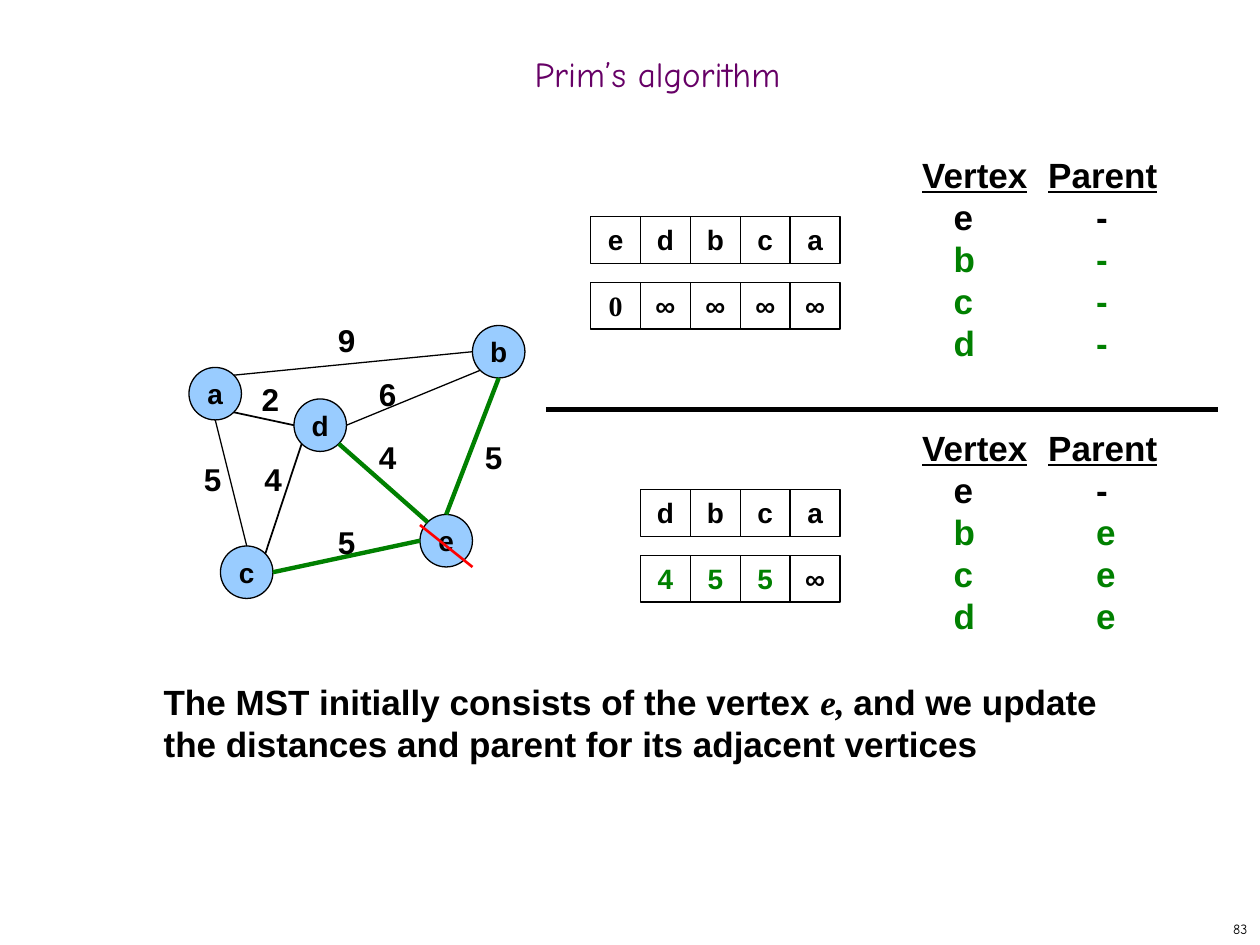
from math import cos, pi, sin

from lxml import etree
from pptx import Presentation
from pptx.dml.color import RGBColor
from pptx.enum.shapes import MSO_CONNECTOR, MSO_SHAPE
from pptx.enum.text import MSO_ANCHOR, MSO_AUTO_SIZE, PP_ALIGN
from pptx.oxml.ns import qn
from pptx.util import Inches, Pt

LINE = MSO_CONNECTOR.STRAIGHT
OVAL, RECT = MSO_SHAPE.OVAL, MSO_SHAPE.RECTANGLE
TOP, MID = MSO_ANCHOR.TOP, MSO_ANCHOR.MIDDLE
LEFT, MIDST, RIGHT = PP_ALIGN.LEFT, PP_ALIGN.CENTER, PP_ALIGN.RIGHT
GROW, FIXED = MSO_AUTO_SIZE.SHAPE_TO_FIT_TEXT, MSO_AUTO_SIZE.NONE

BLACK, GREEN, RED, BLUE, PLUM = "000000", "008000", "FF0000", "99CCFF", "660066"
SANS, SERIF, COMIC = "Arial", "Times New Roman", "Comic Neue"
SIDES = ["E", "SE", "S", "SW", "W", "NW", "N", "NE"]

DISC = 5
CELL_W, CELL_H = 4.75, 4.44
CELL_X = 61
STEP = 26

NODES = {"a": (18, 35), "c": (21, 52), "e": (40, 49), "d": (28, 38), "b": (45, 31)}
EDGES = [
    ("a", "NE", "b", "W", BLACK, 0.75),
    ("d", "E", "b", "SW", BLACK, 0.75),
    ("a", "S", "c", "N", BLACK, 0.75),
    ("a", "SE", "d", "W", BLACK, 1),
    ("c", "NE", "d", "SW", BLACK, 1),
    ("d", "SE", "e", "NW", GREEN, 2.5),
    ("b", "S", "e", "N", GREEN, 2.5),
    ("e", "W", "c", "E", GREEN, 2.5),
]
COSTS = [
    ("2", 23.75, 35.65), ("4", 24, 43.2), ("5", 18.25, 43.2), ("9", 31, 30),
    ("6", 34.9, 35.15), ("4", 34.9, 41.15), ("5", 31, 49.2), ("5", 45, 41.15),
]


def unit(n):
    return Inches(n / 12)


def tint(code):
    return RGBColor.from_string(code)


def write(shape, lines, size=16, color=BLACK, font=SANS, bold=True, under=False,
          align=LEFT, anchor=TOP, wrap=False, fit=FIXED, space=None, tabs=()):
    frame = shape.text_frame
    frame.word_wrap, frame.auto_size = wrap, fit
    frame.vertical_anchor = anchor
    for i, line in enumerate(lines):
        para = frame.add_paragraph() if i else frame.paragraphs[0]
        para.alignment = align
        if space:
            para.line_spacing = space
        if tabs:
            stops = etree.SubElement(para._p.get_or_add_pPr(), qn("a:tabLst"))
            for stop in tabs:
                etree.SubElement(stops, qn("a:tab"), pos=str(Inches(stop)), algn="l")
        for part in [(line, {})] if isinstance(line, str) else line:
            text, own = part
            run = para.add_run()
            run.text = text
            run.font.size = Pt(size)
            run.font.name = own.get("font", font)
            run.font.bold = bold
            run.font.italic = own.get("slant", False)
            run.font.underline = own.get("under", under)
            run.font.color.rgb = tint(own.get("color", color))


def label(slide, x, y, w, h, lines, **form):
    box = slide.shapes.add_textbox(unit(x), unit(y), unit(w), unit(h))
    write(box, lines, **form)


def block(slide, kind, x, y, w, h, text, fill=None, width=0.75, **form):
    shape = slide.shapes.add_shape(kind, unit(x), unit(y), unit(w), unit(h))
    shape.shadow.inherit = False
    if fill:
        shape.fill.solid()
        shape.fill.fore_color.rgb = tint(fill)
    else:
        shape.fill.background()
    shape.line.color.rgb = tint(BLACK)
    shape.line.width = Pt(width)
    write(shape, [text], align=MIDST, **form)


def rule(slide, start, end, color, width):
    line = slide.shapes.add_connector(LINE, *map(unit, start + end))
    line.line.color.rgb = tint(color)
    line.line.width = Pt(width)
    etree.SubElement(line._element.spPr, qn("a:effectLst"))


def port(name, side):
    x, y = NODES[name]
    turn = SIDES.index(side) * pi / 4
    half = DISC / 2
    return x + half + half * cos(turn), y + half + half * sin(turn)


def graph(slide):
    for name, (x, y) in NODES.items():
        block(slide, OVAL, x, y, DISC, DISC, name, fill=BLUE, anchor=MID)
    for tail, out, head, into, color, width in EDGES:
        rule(slide, port(tail, out), port(head, into), color, width)
    for cost, x, y in COSTS:
        label(slide, x, y, 4.1, 4.8, [cost], size=18, fit=GROW)


def cell(slide, col, y, text, **form):
    block(slide, RECT, CELL_X + col * CELL_W, y, CELL_W, CELL_H, text,
          wrap=True, fit=GROW, **form)


def panel(slide, top, costs, parent):
    keys, dists = top + 6.65, top + 12.9
    for col, (key, cost) in enumerate(zip("dbca", costs)):
        cell(slide, col, keys, key)
        cell(slide, col, dists, cost, color=BLACK if cost == "∞" else GREEN)
    lines = [[("Vertex\tParent", {"under": True})], "\te\t\t-"]
    lines += [[(f"\t{name}\t\t{parent}", {"color": GREEN})] for name in "bcd"]
    label(slide, 86.65, top, 24.8, 21.25, lines, size=20, fit=GROW, tabs=(0.25, 1, 1.38, 2))
    return keys, dists


def main():
    deck = Presentation()
    deck.slide_width, deck.slide_height = Inches(10), Inches(7.5)
    slide = deck.slides.add_slide(deck.slide_layouts[6])
    label(slide, 95, 87, 25, 3, ["83"], size=8, font=COMIC, bold=False,
          align=RIGHT, anchor=MID)
    label(slide, 5.25, 3, 114.75, 9, ["Prim’s algorithm"], size=20, color=PLUM,
          font=COMIC, bold=False, align=MIDST, anchor=MID, wrap=True, space=0.7)
    graph(slide)
    panel(slide, 14 + STEP, "455∞", "e")
    label(slide, 14.4, 64.2, 91.3, 9.25, [
        [("The MST initially consists of the vertex ", {}),
         ("e, ", {"font": SERIF, "slant": True}),
         ("and we update", {})],
        "the distances and parent for its adjacent vertices",
    ], size=20, fit=GROW)
    rule(slide, (40, 50), (45, 54), RED, 1.5)
    keys, dists = panel(slide, 14, "∞∞∞∞", "-")
    rule(slide, (52, 39), (116, 39), BLACK, 3)
    cell(slide, -1, keys, "e", width=0.5)
    cell(slide, -1, dists, "0", font=SERIF, width=1)
    deck.save("out.pptx")


if __name__ == "__main__":
    main()
